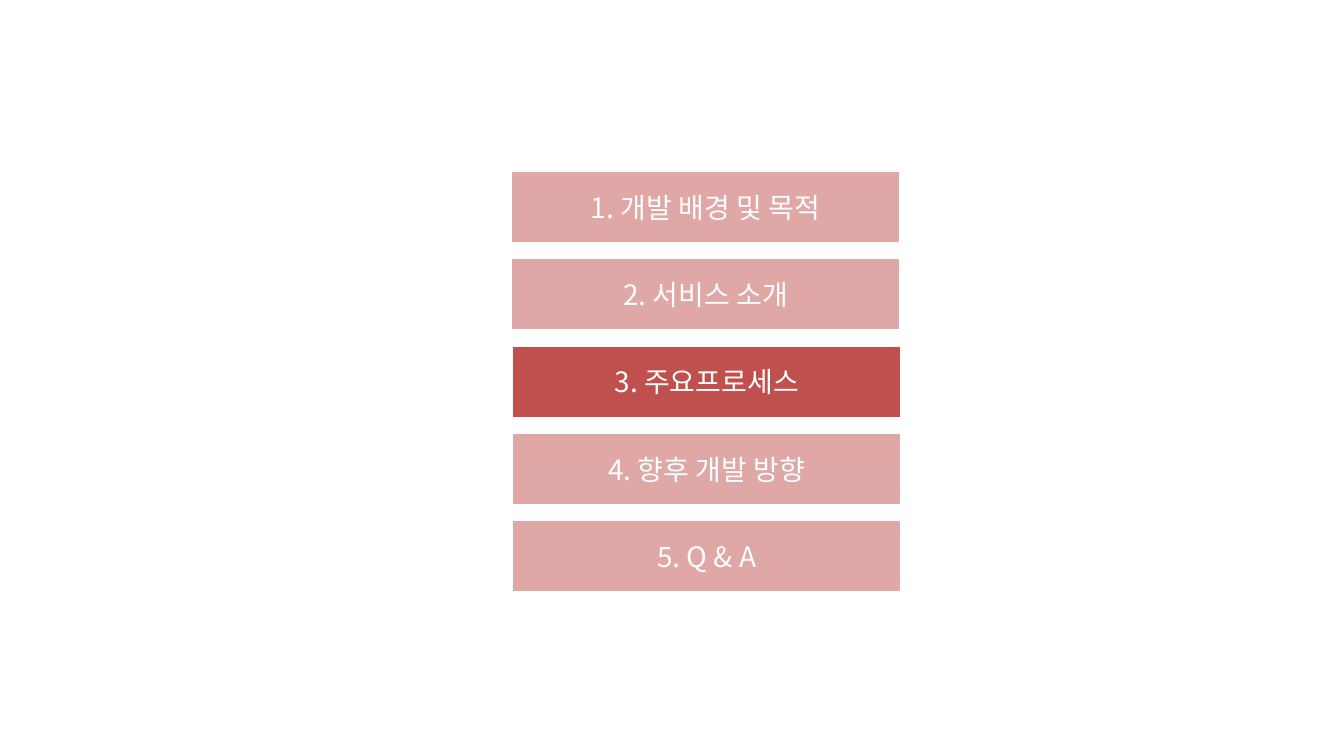
from lxml import etree
from pptx import Presentation
from pptx.dml.color import RGBColor
from pptx.enum.shapes import MSO_SHAPE
from pptx.enum.text import MSO_ANCHOR, PP_ALIGN
from pptx.oxml.ns import qn
from pptx.util import Cm, Pt

RECT = MSO_SHAPE.RECTANGLE
MIDDLE = MSO_ANCHOR.MIDDLE
CENTER = PP_ALIGN.CENTER

COLORS = {"bar": "C0504D", "white": "FFFFFF"}
FONT = {"name": "Noto Sans CJK KR", "size": Pt(20), "bold": False}
AGENDA = ["개발 배경 및 목적", "서비스 소개", "주요프로세스", "향후 개발 방향", "Q & A"]
CURRENT = 3
TOP, PITCH = 4.32, 2.2
WIDTH, HEIGHT = 9.8, 1.8


def color(name):
    return RGBColor.from_string(COLORS[name])


def set_opacity(shape, percent):
    clr = shape.fill._xPr.find(qn("a:solidFill"))[0]
    etree.SubElement(clr, qn("a:alpha"), val=str(percent * 1000))


def format_run(r):
    for key, value in FONT.items():
        setattr(r.font, key, value)
    r.font.color.rgb = color("white")
    etree.SubElement(r.font._element, qn("a:ea"), typeface=FONT["name"])


def add_agenda_bar(s, number, title):
    left = 12.88 if number < CURRENT else 12.91
    top = TOP + (number - 1) * PITCH
    bar = s.shapes.add_shape(RECT, Cm(left), Cm(top), Cm(WIDTH), Cm(HEIGHT))
    bar.shadow.inherit = False
    bar.fill.solid()
    bar.fill.fore_color.rgb = color("bar")
    if number != CURRENT:
        set_opacity(bar, 50)
    bar.line.color.rgb = color("white")
    bar.line.width = Pt(1)
    tf = bar.text_frame
    tf.word_wrap = True
    tf.vertical_anchor = MIDDLE
    p = tf.paragraphs[0]
    p.alignment = CENTER
    r = p.add_run()
    r.text = f"{number}. {title}"
    format_run(r)


def main():
    prs = Presentation()
    prs.slide_width, prs.slide_height = Cm(33.87), Cm(19.05)
    s = prs.slides.add_slide(prs.slide_layouts[6])
    for number, title in enumerate(AGENDA, 1):
        add_agenda_bar(s, number, title)
    prs.save("out.pptx")


if __name__ == "__main__":
    main()
